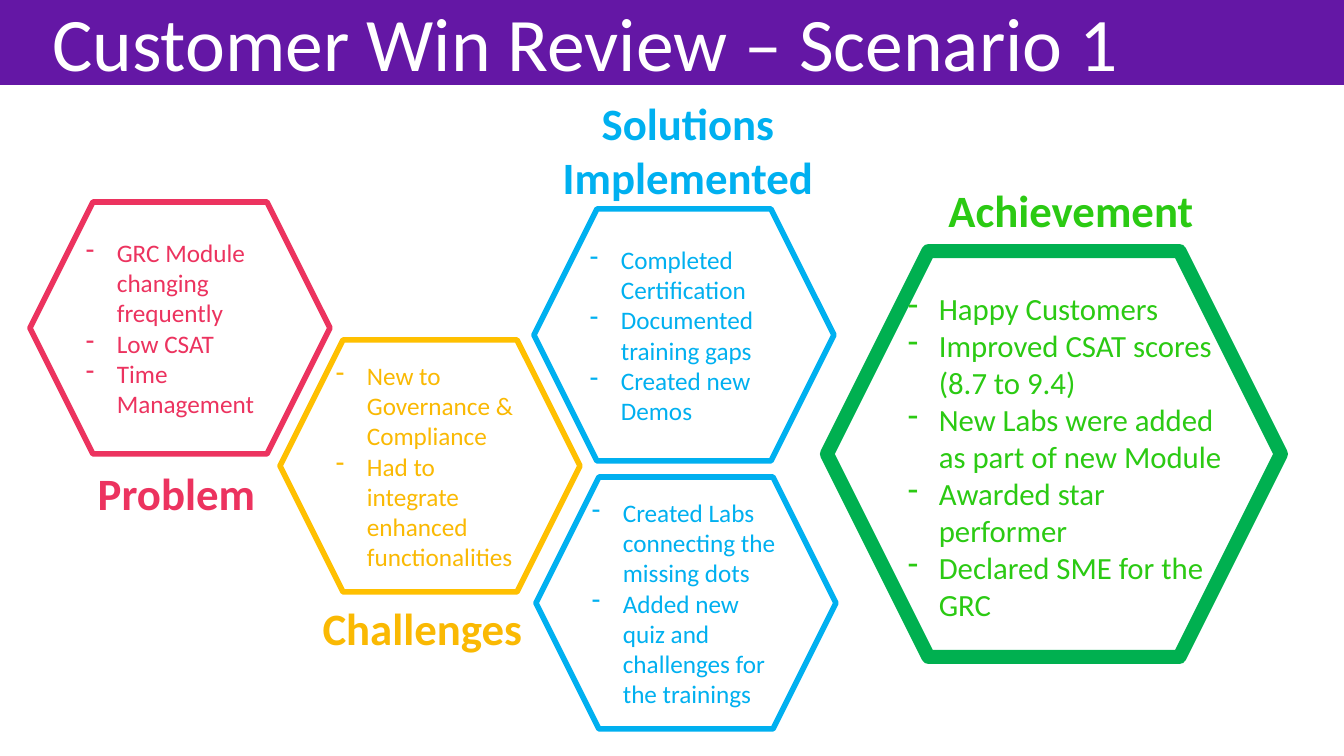
from typing import Any, NamedTuple

from lxml.etree import SubElement
from pptx import Presentation
from pptx.dml.color import RGBColor
from pptx.enum.shapes import MSO_SHAPE
from pptx.enum.text import MSO_ANCHOR, PP_ALIGN
from pptx.oxml.ns import qn
from pptx.util import Pt

SCALE = 914400 / 100.8
FONT = "Calibri"
WHITE, PURPLE = "FFFFFF", "6417A5"
PINK, GOLD, AMBER = "EC335F", "FFC000", "FAB903"
BLUE, GREEN, LIME = "00B0F0", "00B050", "2BCA13"
HEX_WIDE, HEX_HIGH = 300, 252
INDENT = 31


class Box(NamedTuple):
    left: int
    top: int
    width: int
    height: int


class Hexagon(NamedTuple):
    box: Box
    line: str
    weight: int
    ink: str
    items: tuple[str, ...] = ()


class Label(NamedTuple):
    box: Box
    text: str
    ink: str


def px(value: float) -> int:
    return round(value * SCALE)


def paint(target: Any, color: str) -> None:
    target.rgb = RGBColor.from_string(color)


def apply(target: Any, values: dict[str, Any]) -> None:
    for name, value in values.items():
        setattr(target, name, value)


def place(box: Box) -> tuple[int, ...]:
    return tuple(px(side) for side in box)


def write(frame: Any, lines: tuple[str, ...], size: int, ink: str,
          align: PP_ALIGN = PP_ALIGN.LEFT, bold: bool = False,
          anchor: MSO_ANCHOR = MSO_ANCHOR.TOP, dash: bool = False) -> None:
    apply(frame, {"word_wrap": True, "vertical_anchor": anchor})
    for index, line in enumerate(lines):
        para = frame.add_paragraph() if index else frame.paragraphs[0]
        para.alignment = align
        run = para.add_run()
        run.text = line
        apply(run.font, {"name": FONT, "size": Pt(size), "bold": bold})
        paint(run.font.color, ink)
        if dash:
            props = para._p.get_or_add_pPr()
            props.set("marL", str(px(INDENT)))
            props.set("indent", str(-px(INDENT)))
            SubElement(props, qn("a:buChar")).set("char", "-")


def outline(slide: Any, kind: MSO_SHAPE, box: Box, fill: str, line: str, weight: int) -> Any:
    shape = slide.shapes.add_shape(kind, *place(box))
    shape.shadow.inherit = False
    shape.fill.solid()
    paint(shape.fill.fore_color, fill)
    paint(shape.line.color, line)
    shape.line.width = Pt(weight)
    return shape


def add_hex(slide: Any, item: Hexagon) -> None:
    shape = outline(slide, MSO_SHAPE.HEXAGON, item.box, WHITE, item.line, item.weight)
    if item.items:
        write(shape.text_frame, item.items, 18, item.ink,
              anchor=MSO_ANCHOR.MIDDLE, dash=True)


def add_label(slide: Any, item: Label) -> None:
    frame = slide.shapes.add_textbox(*place(item.box)).text_frame
    write(frame, (item.text,), 32, item.ink, PP_ALIGN.CENTER, True)


def small(left: int, top: int, line: str, ink: str, *items: str) -> Hexagon:
    return Hexagon(Box(left, top, HEX_WIDE, HEX_HIGH), line, 4, ink, items)


HEXAGONS = (
    small(280, 340, GOLD, AMBER, "New to Governance & Compliance",
          "Had to integrate enhanced functionalities"),
    small(534, 209, BLUE, BLUE, "Completed Certification",
          "Documented training gaps", "Created new Demos"),
    small(536, 477, BLUE, BLUE, "Created Labs connecting the missing dots",
          "Added new quiz and challenges for the trainings"),
    small(30, 202, PINK, PINK, "GRC Module changing frequently",
          "Low CSAT", "Time Management"),
    Hexagon(Box(827, 251, 454, 406), GREEN, 10, LIME),
)
LABELS = (
    Label(Box(63, 461, 227, 64), "Problem", PINK),
    Label(Box(309, 596, 227, 64), "Challenges", AMBER),
    Label(Box(538, 91, 300, 119), "Solutions Implemented", BLUE),
    Label(Box(921, 178, 300, 64), "Achievement", LIME),
)
WINS = (
    "Happy Customers",
    "Improved CSAT scores (8.7 to 9.4)",
    "New Labs were added as part of new Module",
    "Awarded star performer",
    "Declared SME for the GRC",
)


def build() -> None:
    deck = Presentation()
    apply(deck, {"slide_width": px(1344), "slide_height": px(756)})
    slide = deck.slides.add_slide(deck.slide_layouts[5])
    title = slide.shapes.title
    band = outline(slide, MSO_SHAPE.RECTANGLE, Box(0, 0, 1344, 84), PURPLE, PURPLE, 1)
    title._element.addprevious(band._element)
    apply(title, dict(zip(Box._fields, place(Box(42, -9, 1098, 102)))))
    write(title.text_frame, ("Customer Win Review – Scenario 1",), 54, WHITE)
    for item in HEXAGONS:
        add_hex(slide, item)
    for label in LABELS:
        add_label(slide, label)
    wins = slide.shapes.add_textbox(*place(Box(898, 285, 347, 383)))
    write(wins.text_frame, WINS, 22, LIME, dash=True)
    deck.save("out.pptx")


build()
